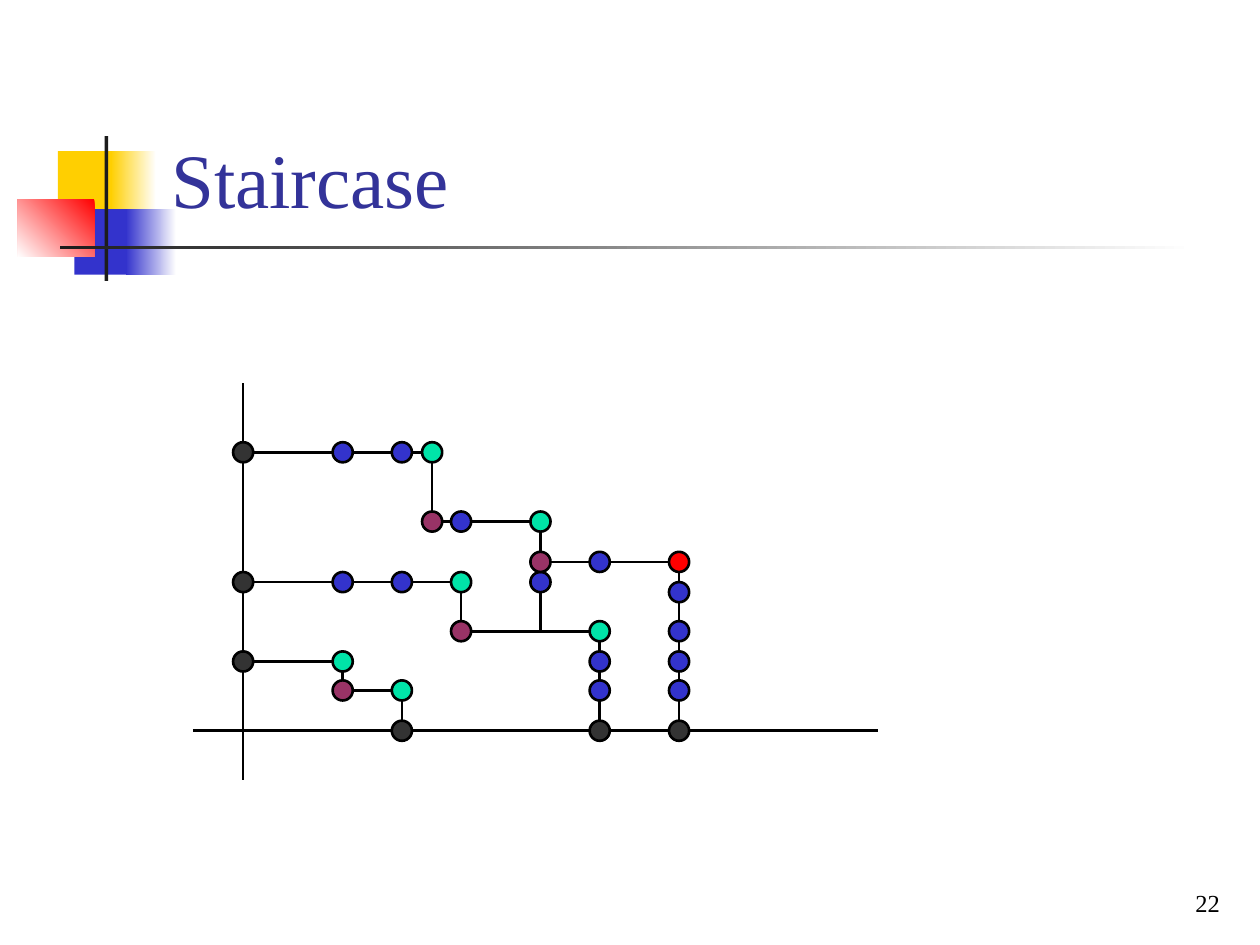
"""Build the Staircase slide: stepped paths with coloured points on two axes."""
from dataclasses import dataclass

from lxml import etree
from pptx import Presentation
from pptx.dml.color import RGBColor
from pptx.enum import shapes, text
from pptx.util import Inches, Pt


@dataclass(frozen=True)
class Theme:
    font: str = "Times New Roman"
    head: str = "333399"
    black: str = "000000"
    white: str = "FFFFFF"
    gold: str = "FFCF01"
    blue: str = "3333CC"
    ink: str = "1C1C1C"
    dark: str = "333333"
    plum: str = "993366"
    green: str = "00E4A8"
    red: str = "FF0000"
    big: int = 44
    small: int = 14
    line: float = 1.5


def add_form(kind, box, first, last=None, angle=180):
    form = slide.shapes.add_shape(kind, *map(Inches, box))
    form.shadow.inherit = False
    if last:
        form.fill.gradient()
        form.fill.gradient_angle = angle
        for stop, tint in zip(form.fill.gradient_stops, (first, last)):
            stop.color.rgb = RGBColor.from_string(tint)
    else:
        form.fill.solid()
        form.fill.fore_color.rgb = RGBColor.from_string(first)
    form.line.fill.background()
    return form


def set_text(box, place, words, size, tint, align):
    box.left, box.top, box.width, box.height = map(Inches, place)
    frame = box.text_frame
    frame.text = words
    frame.word_wrap = True
    frame.auto_size = text.MSO_AUTO_SIZE.NONE
    frame.vertical_anchor = text.MSO_ANCHOR.BOTTOM
    para = frame.paragraphs[0]
    para.alignment = align
    para.font.name = theme.font
    para.font.size = Pt(size)
    para.font.color.rgb = RGBColor.from_string(tint)


theme = Theme()
deck = Presentation()
deck.slide_width, deck.slide_height = Inches(10), Inches(7.5)
slide = deck.slides.add_slide(deck.slide_layouts[5])

rect = shapes.MSO_SHAPE.RECTANGLE
add_form(rect, (0.46, 1.2, 0.48, 0.52), theme.gold)
add_form(rect, (0.88, 1.2, 0.36, 0.52), theme.white, theme.gold)
add_form(rect, (0.59, 1.66, 0.46, 0.52), theme.blue)
add_form(rect, (1, 1.66, 0.4, 0.52), theme.white, theme.blue)
add_form(rect, (0.14, 1.58, 0.61, 0.46), theme.red, theme.white, 225)
add_form(rect, (0.83, 1.08, 0.03, 1.15), theme.ink)
add_form(rect, (0.48, 1.95, 9, 0.03), theme.white, theme.ink)

title = slide.shapes.title
set_text(title, (1.26, 0.23, 8.52, 1.6), "Staircase", theme.big, theme.head,
         text.PP_ALIGN.LEFT)
title.element.getparent().append(title.element)

axis, base = 1.93, 5.8
paths = [
    [(axis, 3.04), (axis, 6.19)],
    [(1.53, base), (6.97, base)],
    [(axis, 5.25), (2.72, 5.25), (2.72, 5.48), (3.19, 5.48), (3.19, base)],
    [(axis, 4.62), (3.66, 4.62), (3.66, 5.01), (4.76, 5.01), (4.76, base)],
    [(axis, 3.59), (3.43, 3.59), (3.43, 4.14), (4.29, 4.14), (4.29, 5.01)],
    [(4.29, 4.46), (5.39, 4.46), (5.39, base)],
]
for path in paths:
    for start, end in zip(path, path[1:]):
        step = slide.shapes.add_connector(
            shapes.MSO_CONNECTOR.STRAIGHT, *map(Inches, start + end))
        step.line.color.rgb = RGBColor.from_string(theme.black)
        step.line.width = Pt(theme.line)
        props = step.element.spPr
        etree.SubElement(props, props.tag.split("}")[0].replace(
            "presentationml", "drawingml") + "}effectLst")

points = {
    theme.blue: [(2.72, 4.62), (3.19, 4.62), (4.76, 5.25), (4.76, 5.48),
                 (2.72, 3.59), (3.19, 3.59), (3.66, 4.14), (4.29, 4.62),
                 (5.39, 5.01), (5.39, 5.48), (5.39, 5.25), (5.39, 4.7),
                 (4.76, 4.46)],
    theme.dark: [(axis, 5.25), (3.19, base), (axis, 4.62), (4.76, base),
                 (axis, 3.59), (5.39, base)],
    theme.plum: [(3.43, 4.14), (4.29, 4.46), (3.66, 5.01), (2.72, 5.48)],
    theme.green: [(4.76, 5.01), (3.66, 4.62), (2.72, 5.25), (3.19, 5.48),
                  (3.43, 3.59), (4.29, 4.14)],
    theme.red: [(5.39, 4.46)],
}
size = 0.16
for tint, spots in points.items():
    for x, y in spots:
        dot = add_form(shapes.MSO_SHAPE.OVAL,
                       (x - size / 2, y - size / 2, size, size), tint)
        dot.line.color.rgb = RGBColor.from_string(theme.black)
        dot.line.width = Pt(theme.line)

place = (7.7, 6.83, 2.08, 0.5)
number = slide.shapes.add_textbox(*map(Inches, place))
set_text(number, place, "22", theme.small, theme.black, text.PP_ALIGN.RIGHT)

deck.save("out.pptx")
